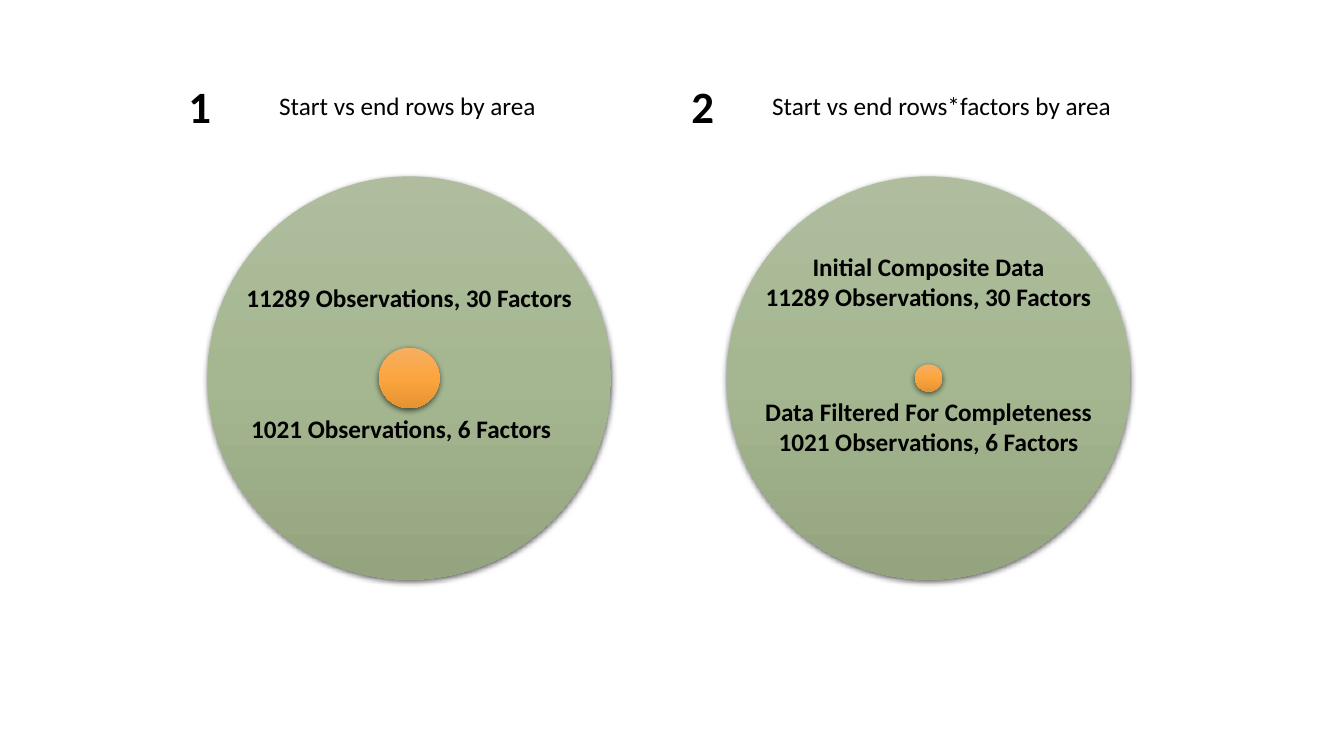
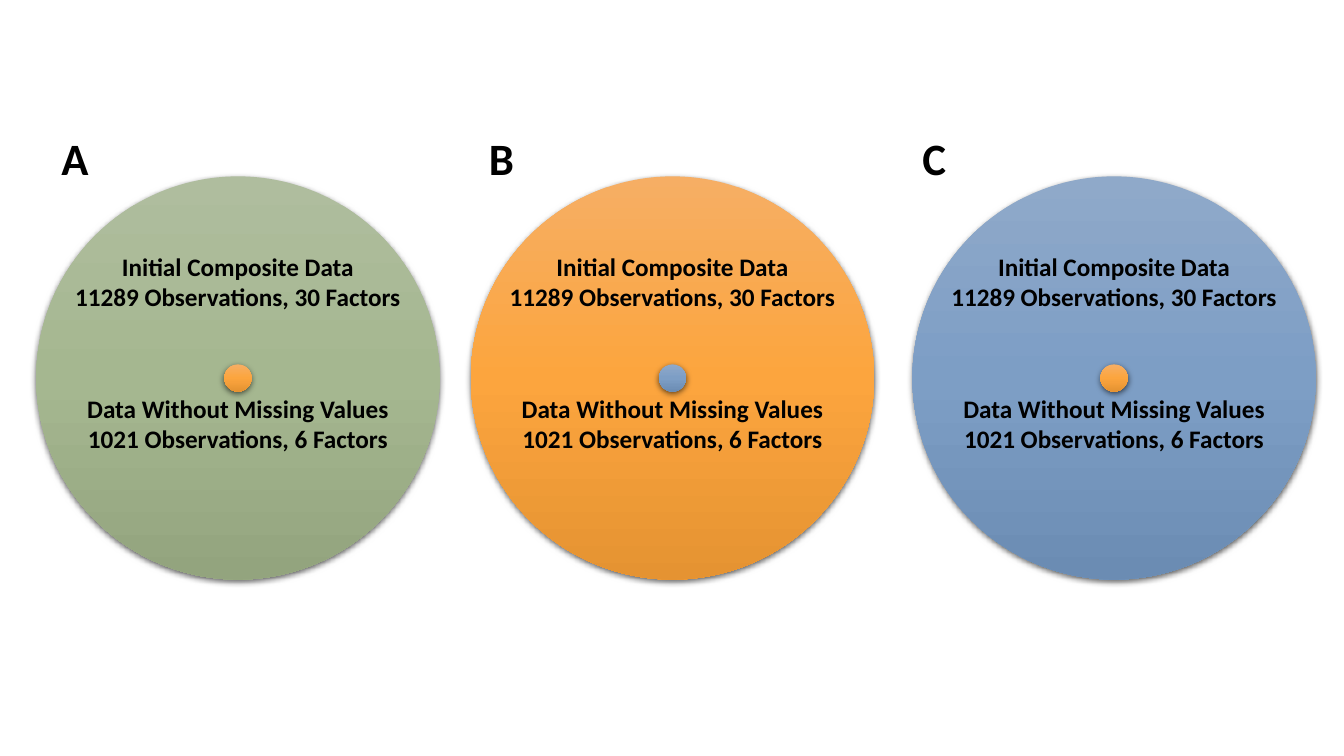
"""Build two slides comparing data set sizes by circle area."""
import copy
from dataclasses import dataclass

import lxml.etree
import pptx
import pptx.dml.color
import pptx.enum.shapes
import pptx.enum.text
import pptx.oxml.ns
import pptx.util

Inches = pptx.util.Inches
qn = pptx.oxml.ns.qn

COLORS = {
    "text": "000000",
    "green": ("AFBD9E", "A5B790", "93A47E"),
    "orange": ("F6AE64", "FCA53E", "E59332"),
    "blue": ("8FA9C9", "7D9EC5", "6B8CB3"),
}
FONT = "Calibri"
CIRCLE_TOP = 1.75
CIRCLE_SIZE = 4
LINE_HEIGHT = 0.31
TEXT_MARGINS = 0.1
INITIAL_BOTTOM = 1.41

INITIAL_NAME = "Initial Composite Data"
INITIAL_COUNT = "11289 Observations, 30 Factors"
FINAL_COUNT = "1021 Observations, 6 Factors"


@dataclass
class Panel:
    """One comparison of the initial and the final data."""
    left: float
    label: str
    label_left: float
    initial: tuple
    final: tuple
    final_top: float
    outer: str = "green"
    inner: str = "orange"
    inner_size: float = 0.27
    final_shift: float = 0
    label_top: float = 1.25
    heading: str = ""
    heading_left: float = 0
    heading_width: float = 0


def rgb(value):
    """Turn a hex string into a colour."""
    return pptx.dml.color.RGBColor.from_string(value)


def add_circle(slide, center_x, center_y, size, shades):
    """Draw a shaded circle with a soft shadow around a centre."""
    circle = slide.shapes.add_shape(
        pptx.enum.shapes.MSO_SHAPE.OVAL,
        Inches(center_x - size / 2), Inches(center_y - size / 2),
        Inches(size), Inches(size))
    circle.line.fill.background()
    circle.fill.gradient()
    circle.fill.gradient_angle = 270
    properties = circle._element.spPr
    stops = properties.find(".//" + qn("a:gsLst"))
    stops.append(copy.deepcopy(stops[0]))
    for stop, shade, position in zip(circle.fill.gradient_stops, shades, (0, 0.5, 1)):
        stop.color.rgb = rgb(shade)
        stop.position = position

    circle.shadow.inherit = False
    shadow = lxml.etree.SubElement(
        properties.find(qn("a:effectLst")), qn("a:outerShdw"),
        blurRad=str(pptx.util.Pt(4.5)), dist=str(pptx.util.Pt(1.5)),
        dir="5400000", rotWithShape="0")
    shade = lxml.etree.SubElement(shadow, qn("a:srgbClr"), val=COLORS["text"])
    lxml.etree.SubElement(shade, qn("a:alpha"), val="63000")


def add_text(slide, box, lines, size=18, bold=True, centered=False, wrap=True):
    """Write lines of text into a box of left, top, width and height."""
    frame = slide.shapes.add_textbox(*map(Inches, box)).text_frame
    frame.word_wrap = wrap
    frame.auto_size = pptx.enum.text.MSO_AUTO_SIZE.SHAPE_TO_FIT_TEXT
    frame.text = "\n".join(lines)
    align = pptx.enum.text.PP_ALIGN
    for paragraph in frame.paragraphs:
        paragraph.alignment = align.CENTER if centered else align.LEFT
        paragraph.font.name = FONT
        paragraph.font.size = pptx.util.Pt(size)
        paragraph.font.bold = bold
        paragraph.font.color.rgb = rgb(COLORS["text"])


def add_caption(slide, center_x, top, width, lines):
    """Write a bold caption centred on a vertical axis."""
    height = TEXT_MARGINS + LINE_HEIGHT * len(lines)
    add_text(slide, (center_x - width / 2, top, width, height), lines, centered=True)


def add_panel(slide, panel):
    """Draw the nested circles of a panel with their captions and label."""
    center_x = panel.left + CIRCLE_SIZE / 2
    center_y = CIRCLE_TOP + CIRCLE_SIZE / 2
    add_circle(slide, center_x, center_y, CIRCLE_SIZE, COLORS[panel.outer])
    add_circle(slide, center_x, center_y, panel.inner_size, COLORS[panel.inner])

    initial_height = TEXT_MARGINS + LINE_HEIGHT * len(panel.initial)
    initial_top = CIRCLE_TOP + INITIAL_BOTTOM - initial_height
    add_caption(slide, center_x, initial_top, 4.16, panel.initial)
    add_caption(slide, center_x + panel.final_shift, panel.final_top, 3.71, panel.final)

    add_text(slide, (panel.label_left, panel.label_top, 0.43, 0.64), [panel.label], size=32)
    if panel.heading:
        add_text(slide, (panel.heading_left, 0.85, panel.heading_width, 0.4),
                 [panel.heading], bold=False, wrap=False)


def add_panel_slide(deck, panels):
    """Add a blank slide holding a row of panels."""
    slide = deck.slides.add_slide(deck.slide_layouts[6])
    for panel in panels:
        add_panel(slide, panel)


def main():
    """Build and save the deck."""
    deck = pptx.Presentation()
    deck.slide_width, deck.slide_height = Inches(13.33), Inches(7.5)

    initial = (INITIAL_NAME, INITIAL_COUNT)
    add_panel_slide(deck, [
        Panel(2.06, "1", 1.77, (INITIAL_COUNT,), (FINAL_COUNT,), 4.05,
              inner_size=0.6, final_shift=-0.08, label_top=0.73,
              heading="Start vs end rows by area",
              heading_left=2.67, heading_width=2.78),
        Panel(7.21, "2", 6.76, initial,
              ("Data Filtered For Completeness", FINAL_COUNT), 3.88, label_top=0.73,
              heading="Start vs end rows*factors by area",
              heading_left=7.56, heading_width=3.57),
    ])

    complete = ("Data Without Missing Values", FINAL_COUNT)
    variants = [
        (0.36, "A", 0.51, "green", "orange"),
        (4.67, "B", 4.75, "orange", "blue"),
        (9.05, "C", 9.05, "blue", "orange"),
    ]
    add_panel_slide(deck, [
        Panel(left, label, label_left, initial, complete, 3.85, outer, inner)
        for left, label, label_left, outer, inner in variants
    ])
    deck.save("out.pptx")


if __name__ == "__main__":
    main()
